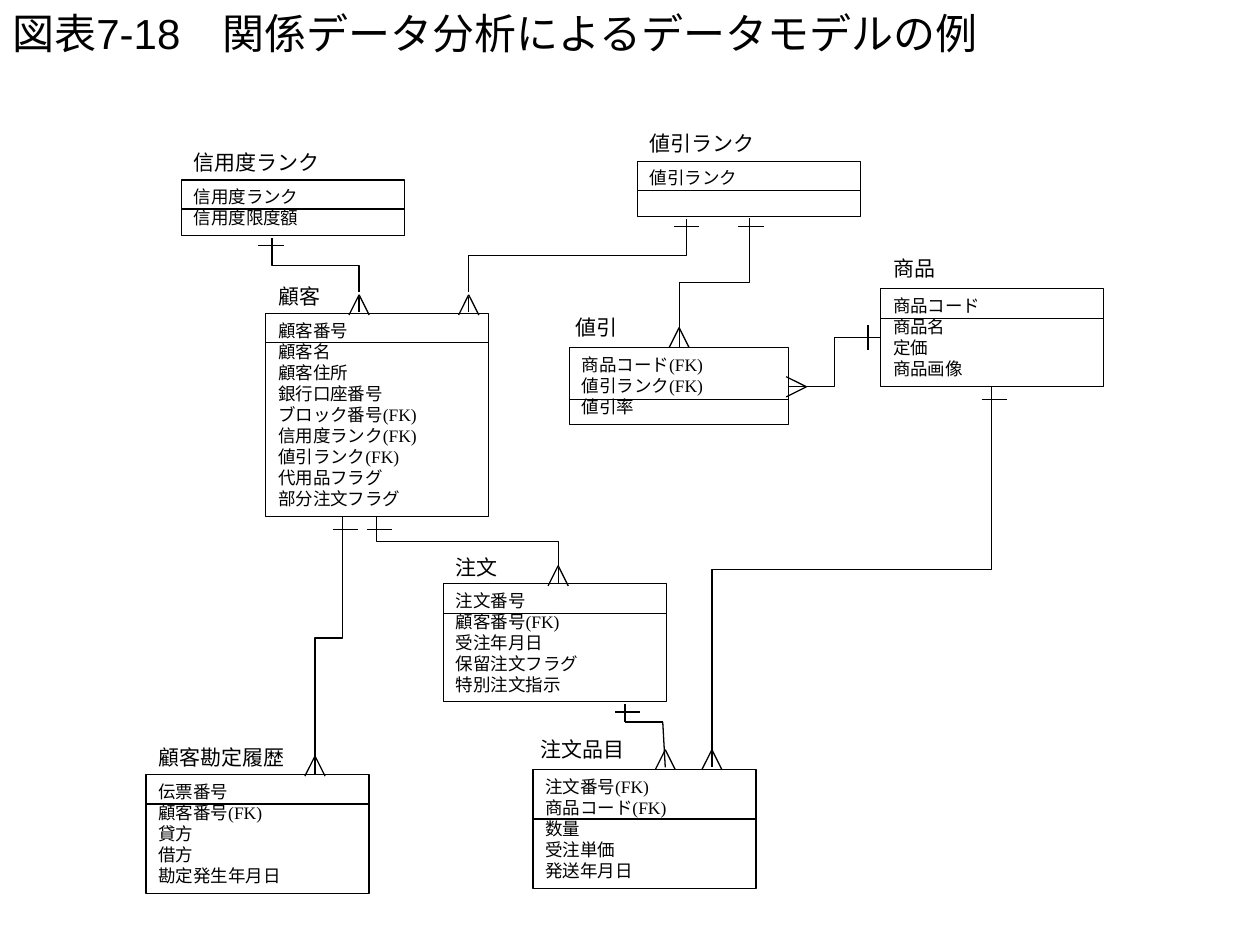
from dataclasses import dataclass

import pptx
import pptx.dml.color
import pptx.enum.shapes
import pptx.enum.text
import pptx.oxml
import pptx.util
from pptx.util import Inches

COLORS = {"ink": "000000", "paper": "FFFFFF"}
FORMATS = {
    "title": {"name": "Arial", "size": pptx.util.Pt(24)},
    "entity": {"name": "Times New Roman", "size": pptx.util.Pt(12)},
    "field": {"name": "Times New Roman", "size": pptx.util.Pt(10)},
}
MIDDLE = pptx.enum.text.MSO_ANCHOR.MIDDLE
LINE_WIDTH = pptx.util.Pt(0.75)
Point = tuple[float, float]


@dataclass
class Entity:
    name: str
    fields: list[str]
    left: float
    top: float
    height: float
    rule: float
    width: float = 1.77
    name_shift: float = 0
    name_rise: float = 0.29
    filled: bool = False


@dataclass
class Elbow:
    start: Point
    end: Point
    vertical: bool = True


@dataclass
class Bar:
    center: Point
    vertical: bool = False


@dataclass
class CrowFoot:
    apex: Point
    stem: bool = True
    leftward: bool = False


ENTITIES = [
    Entity("顧客", ["顧客番号", "顧客名", "顧客住所", "銀行口座番号", "ブロック番号(FK)",
                  "信用度ランク(FK)", "値引ランク(FK)", "代用品フラグ", "部分注文フラグ"],
           2.11, 2.49, 1.61, 2.72),
    Entity("顧客勘定履歴", ["伝票番号", "顧客番号(FK)", "貸方", "借方", "勘定発生年月日"],
           1.16, 6.15, 0.94, 6.38),
    Entity("信用度ランク", ["信用度ランク", "信用度限度額"], 1.44, 1.43, 0.44, 1.66),
    Entity("値引ランク", ["値引ランク"], 5.06, 1.28, 0.44, 1.51),
    Entity("注文品目", ["注文番号(FK)", "商品コード(FK)", "数量", "受注単価", "発送年月日"],
           4.23, 6.11, 0.94, 6.5, name_shift=-0.04, name_rise=0.31),
    Entity("商品", ["商品コード", "商品名", "定価", "商品画像"],
           6.99, 2.29, 0.78, 2.53, name_rise=0.31),
    Entity("値引", ["商品コード(FK)", "値引ランク(FK)", "値引率"],
           4.52, 2.76, 0.61, 3.17, width=1.74, name_shift=-0.05, name_rise=0.31, filled=True),
    Entity("注文", ["注文番号", "顧客番号(FK)", "受注年月日", "保留注文フラグ", "特別注文指示"],
           3.52, 4.63, 0.94, 4.87, name_rise=0.28, filled=True),
]
ELBOWS = [
    Elbow((6.99, 2.68), (6.26, 3.07), vertical=False),
    Elbow((2.99, 4.1), (4.43, 4.49)),
    Elbow((2.16, 1.89), (2.85, 2.32)),
    Elbow((5.45, 1.74), (3.72, 2.32)),
    Elbow((5.95, 1.73), (5.39, 2.76)),
    Elbow((2.72, 4.1), (2.5, 6.03)),
    Elbow((7.87, 3.07), (5.65, 5.97)),
]
ORDER_TO_ITEM = [(4.96, 5.59), (4.96, 5.73), (5.26, 5.73), (5.28, 6.09)]
BARS = [
    Bar((5.96, 1.8)), Bar((5.45, 1.8)), Bar((7.89, 3.17)), Bar((6.89, 2.68), vertical=True),
    Bar((2.15, 1.95)), Bar((3.01, 4.2)), Bar((2.74, 4.2)), Bar((4.98, 5.65)),
]
CROW_FEET = [
    CrowFoot((2.85, 2.34)), CrowFoot((3.72, 2.34)), CrowFoot((5.65, 5.95)),
    CrowFoot((5.28, 5.95), stem=False), CrowFoot((2.5, 6)), CrowFoot((4.43, 4.49)),
    CrowFoot((6.4, 3.07), leftward=True), CrowFoot((5.39, 2.6), stem=False),
]


def write_text(frame, lines: list[str], style: str, anchor=pptx.enum.text.MSO_ANCHOR.TOP) -> None:
    frame.word_wrap = True
    frame.vertical_anchor = anchor
    for index, line in enumerate(lines):
        para = frame.paragraphs[0] if index == 0 else frame.add_paragraph()
        para.alignment = pptx.enum.text.PP_ALIGN.LEFT
        span = para.add_run()
        span.text = line
        for attribute, value in FORMATS[style].items():
            setattr(span.font, attribute, value)
        span.font.color.rgb = pptx.dml.color.RGBColor.from_string(COLORS["ink"])


def style_line(line) -> None:
    line.width = LINE_WIDTH
    line.color.rgb = pptx.dml.color.RGBColor.from_string(COLORS["ink"])


def draw_connector(shapes, start: Point, end: Point,
                   kind=pptx.enum.shapes.MSO_CONNECTOR.STRAIGHT):
    connector = shapes.add_connector(kind, *(Inches(value) for value in (*start, *end)))
    style_line(connector.line)
    properties = connector.element.spPr
    properties.append(pptx.oxml.parse_xml(
        '<a:effectLst xmlns:a="http://schemas.openxmlformats.org/drawingml/2006/main"/>'))
    return connector


def draw_elbow(shapes, elbow: Elbow) -> None:
    """Draw a bent line; a vertical one is laid out sideways and turned by 90 degrees."""
    kind = pptx.enum.shapes.MSO_CONNECTOR.ELBOW
    if not elbow.vertical:
        draw_connector(shapes, elbow.start, elbow.end, kind)
        return
    (x1, y1), (x2, y2) = elbow.start, elbow.end
    center_x, center_y = (x1 + x2) / 2, (y1 + y2) / 2
    half_run, half_shift = (y2 - y1) / 2, (x1 - x2) / 2
    connector = draw_connector(shapes, (center_x - half_run, center_y - half_shift),
                               (center_x + half_run, center_y + half_shift), kind)
    connector.element.spPr.xfrm.set("rot", str(90 * 60000))


def draw_bar(shapes, bar: Bar) -> None:
    x, y = bar.center
    dx, dy = (0, 0.1) if bar.vertical else (0.1, 0)
    draw_connector(shapes, (x - dx, y - dy), (x + dx, y + dy))


def draw_crow_foot(shapes, foot: CrowFoot) -> None:
    def place(along: float, across: float) -> Point:
        x, y = foot.apex
        return (x - along, y + across) if foot.leftward else (x + across, y + along)

    for across in (0.08, -0.08):
        draw_connector(shapes, foot.apex, place(0.16, across))
    if foot.stem:
        draw_connector(shapes, place(0.02, 0), place(0.14, 0))


def draw_entity(shapes, entity: Entity) -> None:
    box = shapes.add_shape(pptx.enum.shapes.MSO_SHAPE.RECTANGLE, Inches(entity.left),
                           Inches(entity.top), Inches(entity.width), Inches(entity.height))
    box.shadow.inherit = False
    if entity.filled:
        box.fill.solid()
        box.fill.fore_color.rgb = pptx.dml.color.RGBColor.from_string(COLORS["paper"])
    else:
        box.fill.background()
    style_line(box.line)
    write_text(box.text_frame, entity.fields, "field")
    label = shapes.add_textbox(Inches(entity.left + entity.name_shift),
                               Inches(entity.top - entity.name_rise), Inches(1.77), Inches(0.3))
    write_text(label.text_frame, [entity.name], "entity")
    draw_connector(shapes, (entity.left, entity.rule), (entity.left + entity.width, entity.rule))


def main() -> None:
    deck = pptx.Presentation()
    deck.slide_width, deck.slide_height = Inches(10), Inches(7.5)
    page = deck.slides.add_slide(deck.slide_layouts[6])
    title = page.shapes.add_textbox(0, 0, Inches(10), Inches(0.52))
    write_text(title.text_frame, ["図表7-18　関係データ分析によるデータモデルの例"], "title", MIDDLE)
    for elbow in ELBOWS:
        draw_elbow(page.shapes, elbow)
    for start, end in zip(ORDER_TO_ITEM, ORDER_TO_ITEM[1:]):
        draw_connector(page.shapes, start, end)
    for entity in ENTITIES:
        draw_entity(page.shapes, entity)
    for bar in BARS:
        draw_bar(page.shapes, bar)
    for foot in CROW_FEET:
        draw_crow_foot(page.shapes, foot)
    deck.save("out.pptx")


if __name__ == "__main__":
    main()
